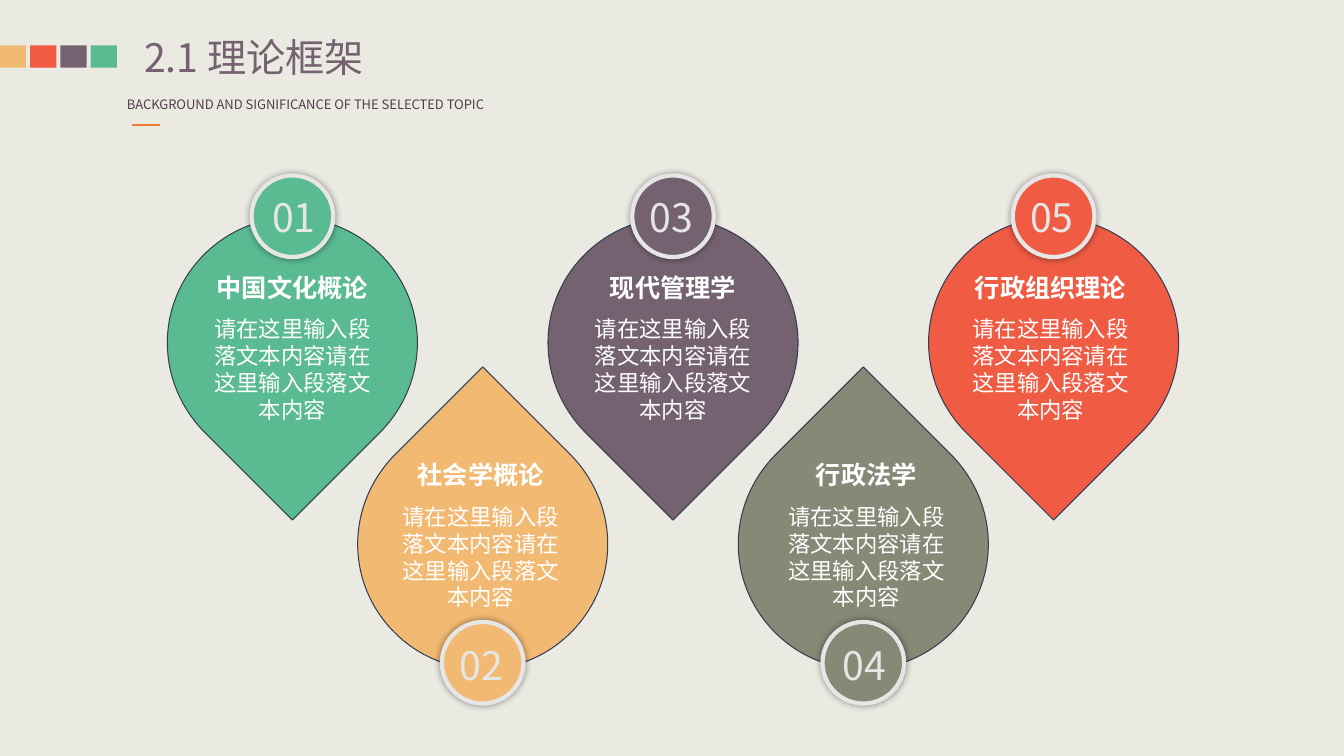
"""Build the theoretical framework slide with five numbered drops."""
from dataclasses import dataclass

from lxml import etree
from pptx import Presentation
from pptx.dml.color import RGBColor
from pptx.enum.shapes import MSO_CONNECTOR, MSO_SHAPE
from pptx.enum.text import MSO_ANCHOR, MSO_AUTO_SIZE, PP_ALIGN
from pptx.oxml.ns import qn
from pptx.shapes.autoshape import Shape
from pptx.shapes.shapetree import GroupShapes, SlideShapes
from pptx.slide import Slide
from pptx.text.text import TextFrame
from pptx.util import Emu, Pt

Shapes = GroupShapes | SlideShapes

RECTANGLE, OVAL = MSO_SHAPE.RECTANGLE, MSO_SHAPE.OVAL
STRAIGHT = MSO_CONNECTOR.STRAIGHT
LEFT, CENTER = PP_ALIGN.LEFT, PP_ALIGN.CENTER
TOP, MIDDLE = MSO_ANCHOR.TOP, MSO_ANCHOR.MIDDLE
NO_AUTOFIT = MSO_AUTO_SIZE.NONE

EMU_PER_PX = 9144
SLIDE_WIDTH, SLIDE_HEIGHT = 1333, 750
TITLE_ONLY_LAYOUT = 5
BADGE_SIZE = 81
FIRST_DROP_X, LAST_DROP_X = 290, 1045
RIGHT_OUTLINE = (
    (0, -124),
    (68, -124), (124, -68), (124, 0),
    (124, 33), (111, 64), (88, 88),
    (59, 117), (29, 147), (0, 176),
)
LEFT_OUTLINE = tuple((-x, y) for x, y in reversed(RIGHT_OUTLINE[:-1]))
BODY_TEXT = "请在这里输入段落文本内容请在这里输入段落文本内容"


@dataclass(frozen=True)
class Theme:
    font: str = "Noto Sans CJK SC"
    background: str = "EBEAE2"
    green: str = "5ABB93"
    amber: str = "F2B973"
    plum: str = "756271"
    olive: str = "858976"
    red: str = "EF5B43"
    subtitle: str = "543C4F"
    accent: str = "ED7D31"
    outline: str = "333F50"
    pale: str = "E7E6E6"
    white: str = "FFFFFF"
    shadow: str = "000000"
    title_size: float = 28
    subtitle_size: float = 9.3
    heading_size: float = 18
    body_size: float = 16
    line_height: float = 1.2


THEME = Theme()


@dataclass(frozen=True)
class Row:
    center_y: int
    tip_direction: int
    badge_top: int
    label_top: int
    heading_top: int
    body_top: int


UPPER = Row(340, 1, 174, 187, 265, 308)
LOWER = Row(540, -1, 617, 631, 451, 494)


@dataclass(frozen=True)
class Drop:
    heading: str
    color: str
    row: Row
    text_shift: int = 0
    label_shift: int = -33


DROPS = (
    Drop("中国文化概论", THEME.green, UPPER, label_shift=-30),
    Drop("社会学概论", THEME.amber, LOWER, text_shift=-2),
    Drop("现代管理学", THEME.plum, UPPER),
    Drop("行政法学", THEME.olive, LOWER, text_shift=3, label_shift=-30),
    Drop("行政组织理论", THEME.red, UPPER, text_shift=-3),
)


def px(value: float) -> Emu:
    return Emu(round(value * EMU_PER_PX))


def rgb(color: str) -> RGBColor:
    return RGBColor.from_string(color)


def paint(shape: Shape, fill: str, line: str | None = None, width: float = 0) -> None:
    shape.shadow.inherit = False
    shape.fill.solid()
    shape.fill.fore_color.rgb = rgb(fill)
    if line is None:
        shape.line.fill.background()
    else:
        shape.line.color.rgb = rgb(line)
        shape.line.width = Pt(width)


def write(frame: TextFrame, text: str, size: float, color: str,
          align: PP_ALIGN = LEFT, bold: bool = False) -> None:
    frame.word_wrap = True
    frame.auto_size = NO_AUTOFIT
    paragraph = frame.paragraphs[0]
    paragraph.alignment = align
    paragraph.line_spacing = Pt(size * THEME.line_height)
    run = paragraph.add_run()
    run.text = text
    run.font.name = THEME.font
    run.font.size = Pt(size)
    run.font.bold = bold
    run.font.color.rgb = rgb(color)
    properties = run.font._element
    properties.set("kern", "0")
    east_asian = etree.Element(qn("a:ea"), typeface=THEME.font)
    properties.find(qn("a:latin")).addnext(east_asian)


def add_text(shapes: Shapes, box: tuple[float, float, float, float], text: str,
             size: float, color: str, align: PP_ALIGN = LEFT, bold: bool = False) -> None:
    frame = shapes.add_textbox(*map(px, box)).text_frame
    frame.vertical_anchor = TOP
    write(frame, text, size, color, align, bold)


def add_badge_shadow(badge: Shape) -> None:
    effects = badge._element.spPr.find(qn("a:effectLst"))
    shadow = etree.SubElement(effects, qn("a:outerShdw"), blurRad=str(Pt(5)),
                              dist="0", dir="0", algn="ctr", rotWithShape="0")
    color = etree.SubElement(shadow, qn("a:srgbClr"), val=THEME.shadow)
    etree.SubElement(color, qn("a:alpha"), val="40000")


def curve_outline(shape: Shape) -> None:
    segments = list(shape._element.iter(qn("a:lnTo")))
    for first in range(0, len(segments), 3):
        curve = etree.Element(qn("a:cubicBezTo"))
        segments[first].addprevious(curve)
        for segment in segments[first:first + 3]:
            curve.append(segment[0])
            segment.getparent().remove(segment)


def add_drop(slide: Slide, number: int, center_x: float, drop: Drop) -> None:
    shapes = slide.shapes.add_group_shape().shapes
    row = drop.row
    start, *points = [(px(center_x + x), px(row.center_y + row.tip_direction * y))
                      for x, y in RIGHT_OUTLINE + LEFT_OUTLINE]
    builder = shapes.build_freeform(*start)
    builder.add_line_segments(points, close=True)
    body = builder.convert_to_shape()
    curve_outline(body)
    paint(body, drop.color, THEME.outline, 0.75)

    badge = shapes.add_shape(OVAL, px(center_x - BADGE_SIZE / 2), px(row.badge_top),
                             px(BADGE_SIZE), px(BADGE_SIZE))
    paint(badge, drop.color, THEME.pale, 3)
    add_badge_shadow(badge)

    text_left = center_x + drop.text_shift - 95
    add_text(shapes, (text_left, row.heading_top, 190, 40), drop.heading,
             THEME.heading_size, THEME.white, CENTER, bold=True)
    add_text(shapes, (text_left, row.body_top, 190, 118), BODY_TEXT,
             THEME.body_size, THEME.white, CENTER)
    add_text(shapes, (center_x + drop.label_shift, row.label_top, 66, 57),
             f"{number:02d}", THEME.title_size, THEME.pale)


def add_header(slide: Slide) -> None:
    for index, color in enumerate((THEME.amber, THEME.red, THEME.plum, THEME.green)):
        swatch = slide.shapes.add_shape(RECTANGLE, px(30 * index), px(45), px(26), px(22))
        paint(swatch, color)

    title = slide.shapes.title
    title.left, title.top, title.width, title.height = map(px, (143, 33, 399, 47))
    frame = title.text_frame
    frame.margin_left = frame.margin_top = frame.margin_right = frame.margin_bottom = 0
    frame.vertical_anchor = MIDDLE
    write(frame, "2.1 理论框架", THEME.title_size, THEME.plum)

    add_text(slide.shapes, (116, 91, 407, 26),
             "BACKGROUND AND SIGNIFICANCE OF THE SELECTED TOPIC",
             THEME.subtitle_size, THEME.subtitle)
    rule = slide.shapes.add_connector(STRAIGHT, px(131), px(124), px(159), px(124))
    rule.line.color.rgb = rgb(THEME.accent)
    rule.line.width = Pt(1.5)
    etree.SubElement(rule._element.spPr, qn("a:effectLst"))


def main() -> None:
    presentation = Presentation()
    presentation.slide_width, presentation.slide_height = px(SLIDE_WIDTH), px(SLIDE_HEIGHT)
    slide = presentation.slides.add_slide(presentation.slide_layouts[TITLE_ONLY_LAYOUT])
    slide.background.fill.solid()
    slide.background.fill.fore_color.rgb = rgb(THEME.background)
    add_header(slide)
    pitch = (LAST_DROP_X - FIRST_DROP_X) / (len(DROPS) - 1)
    for index, drop in enumerate(DROPS):
        add_drop(slide, index + 1, FIRST_DROP_X + pitch * index, drop)
    presentation.save("out.pptx")


if __name__ == "__main__":
    main()
